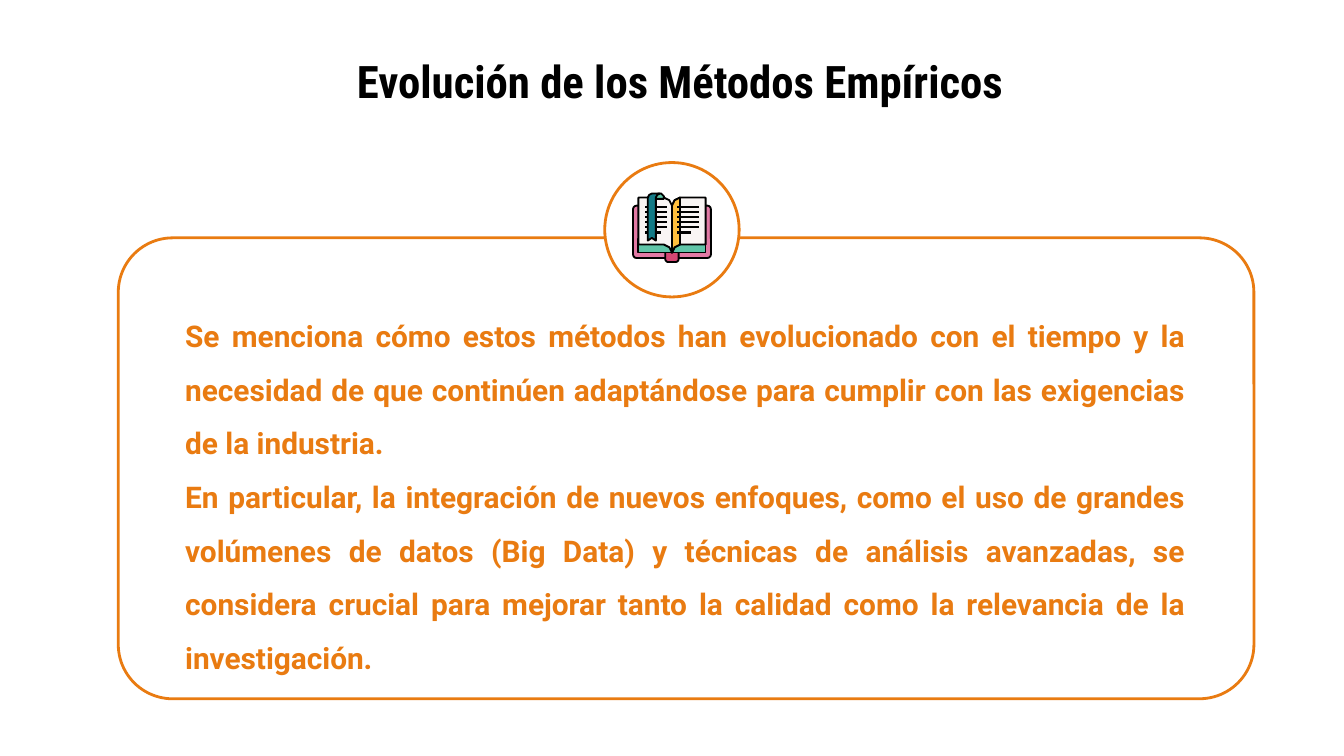
from lxml import etree
from pptx import Presentation
from pptx import util as u
from pptx.dml.color import RGBColor
from pptx.enum import shapes, text
from pptx.oxml.ns import qn

COLORS = {
    "accent": "E97B11", "ink": "000000", "white": "FFFFFF", "page": "F9F5F4",
    "cover": "E27AA5", "spine": "D54873", "green": "60C5A8", "fold": "FFBF3E",
    "ribbon": "137A86",
}
TITLE = "Evolución de los Métodos Empíricos"
BODY = [
    "Se menciona cómo estos métodos han evolucionado con el tiempo y la necesidad "
    "de que continúen adaptándose para cumplir con las exigencias de la industria.",
    "En particular, la integración de nuevos enfoques, como el uso de grandes "
    "volúmenes de datos (Big Data) y técnicas de análisis avanzadas, se considera "
    "crucial para mejorar tanto la calidad como la relevancia de la investigación.",
]


def rgb(name):
    """Return the named palette colour."""
    return RGBColor.from_string(COLORS[name])


def style(sp, fill, line, width):
    """Set the fill and outline of a shape and drop its shadow."""
    sp.shadow.inherit = False
    if fill:
        sp.fill.solid()
        sp.fill.fore_color.rgb = rgb(fill)
    else:
        sp.fill.background()
    sp.line.color.rgb = rgb(line)
    sp.line.width = u.Pt(width)


def add_preset(s, kind, box, fill=None, line="accent", width=1.5, radius=None):
    """Add a preset shape in a box given in inches."""
    sp = s.shapes.add_shape(kind, *map(u.Inches, box))
    if radius is not None:
        sp.adjustments[0] = radius
    style(sp, fill, line, width)


def add_text(s, box, paragraphs, font, size, color, align, spacing=1.0):
    """Add a bold text box with one style for all its paragraphs."""
    tf = s.shapes.add_textbox(*map(u.Inches, box)).text_frame
    tf.word_wrap = True
    tf.vertical_anchor = text.MSO_ANCHOR.TOP
    tf.margin_left = tf.margin_right = tf.margin_top = tf.margin_bottom = u.Inches(0.1)
    tf.text = "\n".join(paragraphs)
    for p in tf.paragraphs:
        p.alignment = align
        p.line_spacing = spacing
        p.font.name, p.font.size, p.font.bold = font, u.Pt(size), True
        p.font.color.rgb = rgb(color)


def add_outline(s, x, y, points, fill):
    """Add a closed outline whose points are hundredths of an inch from x, y."""
    fb = s.shapes.build_freeform(*points[0], scale=u.Inches(0.01))
    fb.add_line_segments(points[1:], close=True)
    style(fb.convert_to_shape(u.Inches(x), u.Inches(y)), fill, "ink", 1)


def add_text_lines(s, x, y, width, last_width):
    """Draw the six printed lines of one book page."""
    for i in range(6):
        row = u.Inches(y + 0.19 * i / 5)
        end = x + (last_width if i == 5 else width)
        line = s.shapes.add_connector(
            shapes.MSO_CONNECTOR.STRAIGHT, u.Inches(x), row, u.Inches(end), row)
        line.line.color.rgb = rgb("ink")
        line.line.width = u.Pt(1.1)
        etree.SubElement(line._element.spPr, qn("a:effectLst"))


def add_book(s, x, y):
    """Draw an open book with a ribbon, its top left corner at x, y."""
    rounded = shapes.MSO_SHAPE.ROUNDED_RECTANGLE
    add_preset(s, rounded, (x, y + 0.09, 0.58, 0.39), "cover", "ink", 1, 0.07)
    add_preset(s, rounded, (x + 0.24, y + 0.42, 0.1, 0.09), "spine", "ink", 1, 0.25)
    add_preset(s, shapes.MSO_SHAPE.RECTANGLE, (x + 0.04, y + 0.34, 0.5, 0.1),
               "green", "ink", 1)
    left = [(4, 3), (23, 3), (27, 5), (29, 9), (29, 44), (27, 40), (23, 38), (4, 38)]
    fold = [(35, 3), (31, 5), (29, 9), (29, 44), (31, 40), (35, 38)]
    add_outline(s, x, y, left, "page")
    add_outline(s, x, y, [(58 - px, py) for px, py in left], "page")
    add_outline(s, x, y, fold, "fold")
    add_text_lines(s, x + 0.09, y + 0.1, 0.16, 0.12)
    add_text_lines(s, x + 0.33, y + 0.1, 0.16, 0.1)
    add_outline(s, x, y, [(17, 1), (19, 0), (21, 0), (23, 2), (23, 4), (17, 4)], "green")
    ribbon = [(11, 3), (12, 1), (14, 0), (20, 0), (18, 1), (17, 3),
              (17, 35), (14, 33), (11, 35)]
    add_outline(s, x, y, ribbon, "ribbon")


def add_title(s, x, y, w, h):
    """Add the centred slide title."""
    add_text(s, (x, y, w, h), [TITLE], "Roboto Condensed", 24, "ink",
             text.PP_ALIGN.CENTER)


def add_card(s, x, y, w, h):
    """Add the rounded card with its book badge and text."""
    add_preset(s, shapes.MSO_SHAPE.ROUNDED_RECTANGLE, (x, y, w, h), radius=0.118)
    badge_x, badge_y = x + 3.62, y - 0.56
    add_preset(s, shapes.MSO_SHAPE.OVAL, (badge_x, badge_y, 1, 1), "white")
    add_text(s, (x + 0.4, y + 0.36, w - 0.81, h - 0.3), BODY, "Roboto", 16, "accent",
             text.PP_ALIGN.JUSTIFY, 1.5)
    add_book(s, badge_x + 0.21, badge_y + 0.23)


def main():
    """Build and save the slide."""
    prs = Presentation()
    prs.slide_width = u.Inches(10)
    prs.slide_height = prs.slide_width * 9 // 16
    s = prs.slides.add_slide(prs.slide_layouts[6])
    add_title(s, 0.4, 0.3, 9.32, 0.63)
    add_card(s, 0.88, 1.77, 8.45, 3.43)
    prs.save("out.pptx")


if __name__ == "__main__":
    main()
